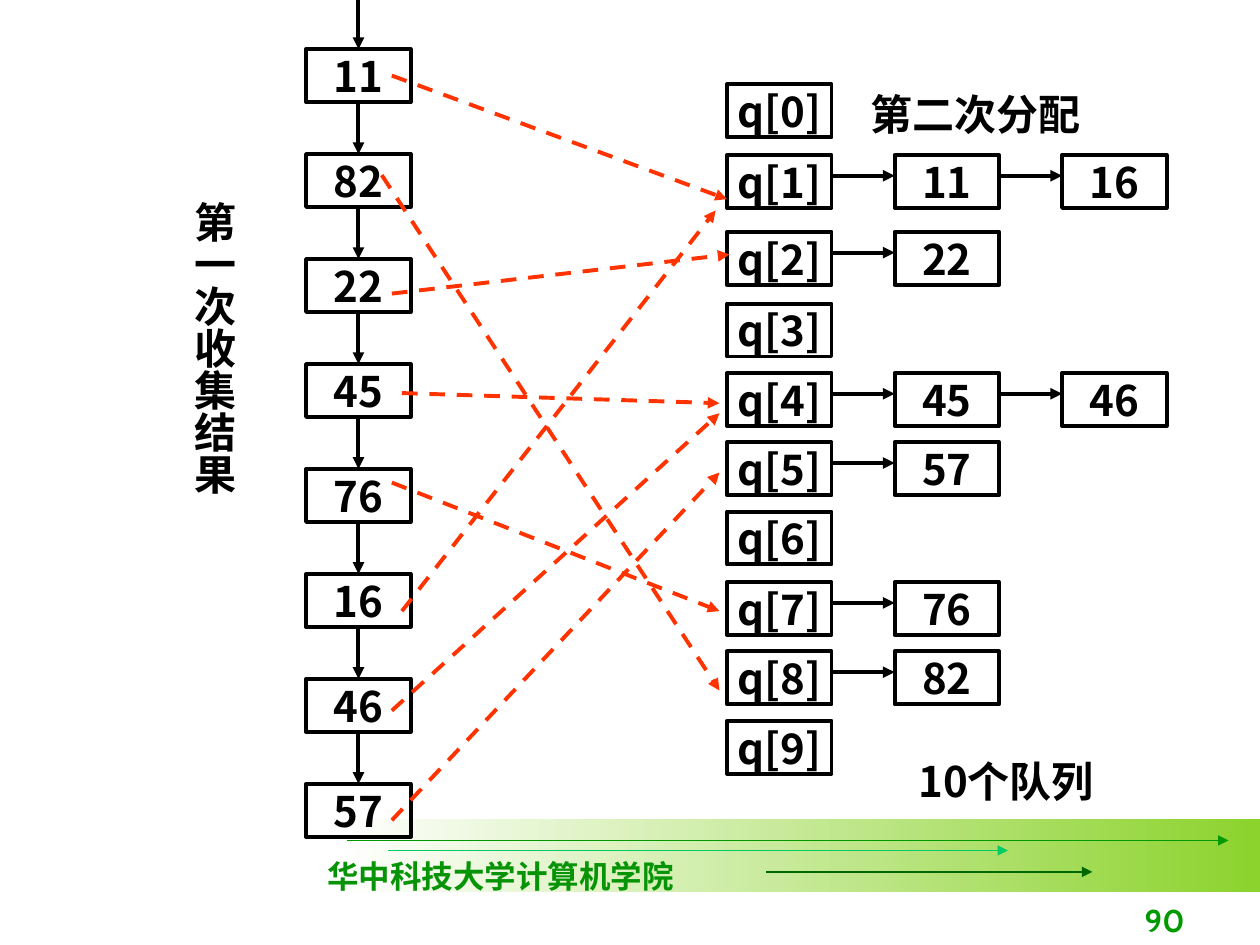
from lxml import etree
from pptx import Presentation
from pptx import util as u
from pptx.dml.color import RGBColor
from pptx.enum import dml, shapes, text
from pptx.oxml.ns import qn

BLACK = RGBColor(0x00, 0x00, 0x00)
WHITE = RGBColor(0xFF, 0xFF, 0xFF)
RED = RGBColor(0xFF, 0x33, 0x00)
LIME = RGBColor(0x8C, 0xD3, 0x2D)
GREEN = RGBColor(0x00, 0x99, 0x00)
MINT = RGBColor(0x00, 0xCC, 0x66)
DARK_GREEN = RGBColor(0x00, 0x66, 0x00)
SCHOOL_GREEN = RGBColor(0x06, 0x94, 0x06)
CJK = "Noto Sans CJK SC"

COLLECTED = ["11", "82", "22", "45", "76", "16", "46", "57"]
QUEUES = [
    (0.67, []),
    (1.23, ["11", "16"]),
    (1.84, ["22"]),
    (2.41, []),
    (2.96, ["45", "46"]),
    (3.51, ["57"]),
    (4.06, []),
    (4.62, ["76"]),
    (5.17, ["82"]),
    (5.72, []),
]
MOVES = [
    (3.11, 0.6, 5.77, 1.58),
    (3.03, 1.39, 5.71, 5.48),
    (3.11, 2.33, 5.79, 2.02),
    (3.19, 3.12, 5.71, 3.2),
    (3.11, 3.83, 5.71, 4.85),
    (3.19, 4.85, 5.68, 1.67),
    (3.11, 5.64, 5.71, 3.28),
    (3.11, 6.51, 5.71, 3.75),
]
FOOTER_ARROWS = [
    (2.75, 6.67, 9.75, GREEN),
    (3.08, 6.75, 8, MINT),
    (6.08, 6.92, 8.67, DARK_GREEN),
]
LABELS = [
    ("10个队列", (7.19, 5.95, 1.75, 0.5), False),
    ("第一次收集结果", (1.35, 1.5, 0.6, 3), True),
    ("第二次分配", (6.81, 0.65, 3.17, 0.5), False),
]

BOX_W, BOX_H = 0.83, 0.42
LIST_LEFT, LIST_TOP, LIST_STEP = 2.43, 0.39, 0.833
QUEUE_LEFT, QUEUE_STEP = 5.77, 1.33
LINK_DROP = 0.165

deck = Presentation()
deck.slide_width, deck.slide_height = u.Inches(10), u.Inches(7.5)
page = deck.slides.add_slide(deck.slide_layouts[6])


def inches(lengths):
    return [u.Inches(length) for length in lengths]


def write(box, words, size=24, color=BLACK, font=CJK, align=text.PP_ALIGN.LEFT,
          anchor=text.MSO_ANCHOR.TOP, wrap=True):
    frame = box.text_frame
    frame.word_wrap = wrap
    frame.vertical_anchor = anchor
    para = frame.paragraphs[0]
    para.alignment = align
    span = para.add_run()
    span.text = words
    span.font.size = u.Pt(size)
    span.font.bold = True
    span.font.color.rgb = color
    span.font.name = font
    east_asian = etree.SubElement(span.font._element, qn("a:ea"))
    east_asian.set("typeface", CJK)


def add_label(words, place, **style):
    box = page.shapes.add_textbox(*inches(place))
    write(box, words, **style)
    return box


def add_node(words, left, top):
    box = page.shapes.add_shape(
        shapes.MSO_SHAPE.RECTANGLE, *inches((left, top, BOX_W, BOX_H)))
    box.shadow.inherit = False
    box.fill.background()
    box.line.color.rgb = BLACK
    box.line.width = u.Pt(2.25)
    write(box, words, align=text.PP_ALIGN.CENTER,
          anchor=text.MSO_ANCHOR.MIDDLE, wrap=False)


def add_arrow(x1, y1, x2, y2, color=BLACK, width=2.25, dashed=False):
    arrow = page.shapes.add_connector(
        shapes.MSO_CONNECTOR.STRAIGHT, *inches((x1, y1, x2, y2)))
    arrow.line.color.rgb = color
    arrow.line.width = u.Pt(width)
    if dashed:
        arrow.line.dash_style = dml.MSO_LINE.DASH
    properties = arrow.element.spPr
    tip = etree.SubElement(properties.find(qn("a:ln")), qn("a:tailEnd"))
    tip.set("type", "triangle")
    etree.SubElement(properties, qn("a:effectLst"))


def add_footer():
    band = page.shapes.add_shape(
        shapes.MSO_SHAPE.RECTANGLE, *inches((2.67, 6.5, 7.33, 0.58)))
    band.shadow.inherit = False
    band.line.fill.background()
    band.fill.gradient()
    band.fill.gradient_angle = 0
    for stop, color in zip(band.fill.gradient_stops, (WHITE, LIME)):
        stop.color.rgb = color
    for left, top, right, color in FOOTER_ARROWS:
        add_arrow(left, top, right, top, color, 0.75)
    add_label("华中科技大学计算机学院", (2.5, 6.75, 2.95, 0.4), size=18,
              color=SCHOOL_GREEN, font="Times New Roman", wrap=False)
    add_label("90", (7.42, 7, 2.08, 0.5), size=18, color=GREEN, font="Cabin",
              align=text.PP_ALIGN.RIGHT, anchor=text.MSO_ANCHOR.BOTTOM)


def add_collected_list():
    center = LIST_LEFT + BOX_W / 2
    for row, value in enumerate(COLLECTED):
        top = LIST_TOP + row * LIST_STEP
        add_node(value, LIST_LEFT, top)
        add_arrow(center, top - LIST_STEP + BOX_H, center, top)


def add_queues():
    for index, (top, values) in enumerate(QUEUES):
        add_node(f"q[{index}]", QUEUE_LEFT, top)
        for column, value in enumerate(values, start=1):
            left = QUEUE_LEFT + column * QUEUE_STEP
            middle = top + LINK_DROP
            add_node(value, left, top)
            add_arrow(left - QUEUE_STEP + BOX_W, middle, left, middle)


add_footer()
add_collected_list()
add_queues()
for move in MOVES:
    add_arrow(*move, color=RED, dashed=True)
for words, place, vertical in LABELS:
    label = add_label(words, place)
    if vertical:
        frame = label.text_frame
        frame.margin_left = frame.margin_right = u.Inches(0.05)
        frame.margin_top = frame.margin_bottom = u.Inches(0.1)
        label.element.find(".//" + qn("a:bodyPr")).set("vert", "eaVert")

deck.save("out.pptx")
